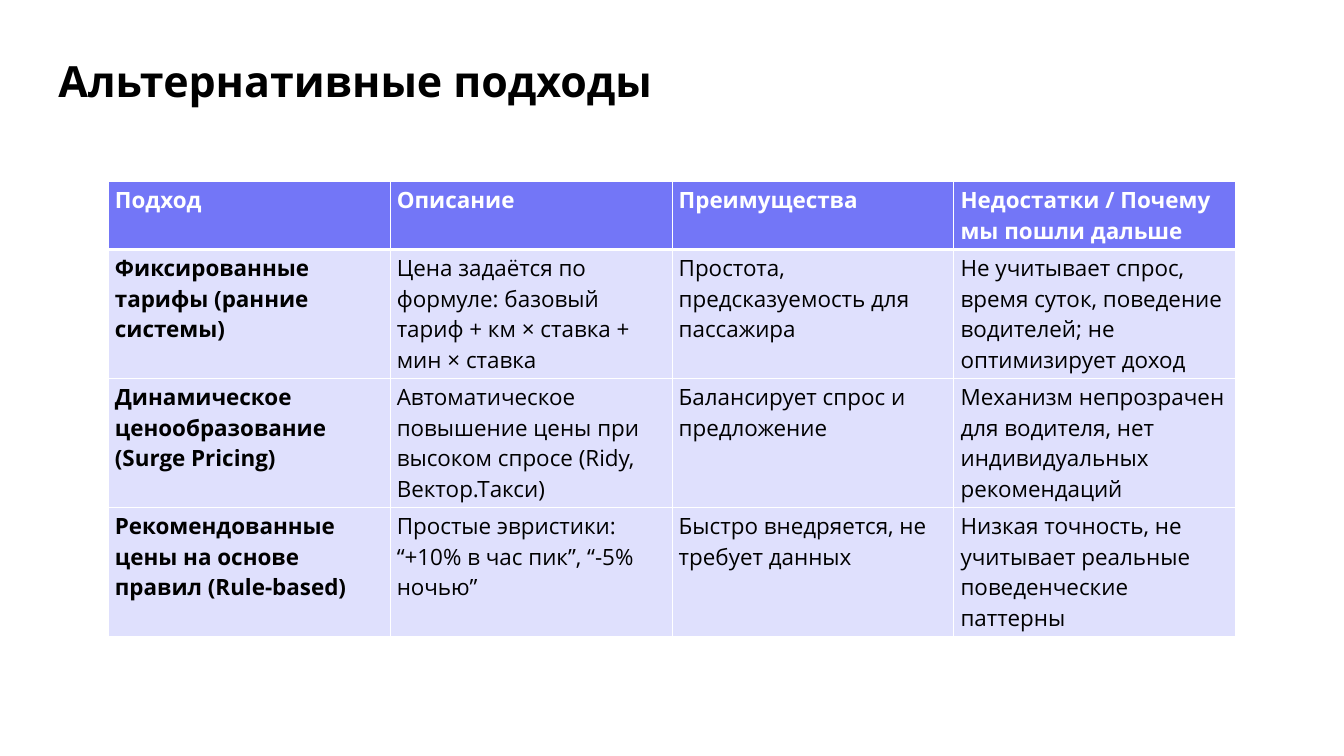
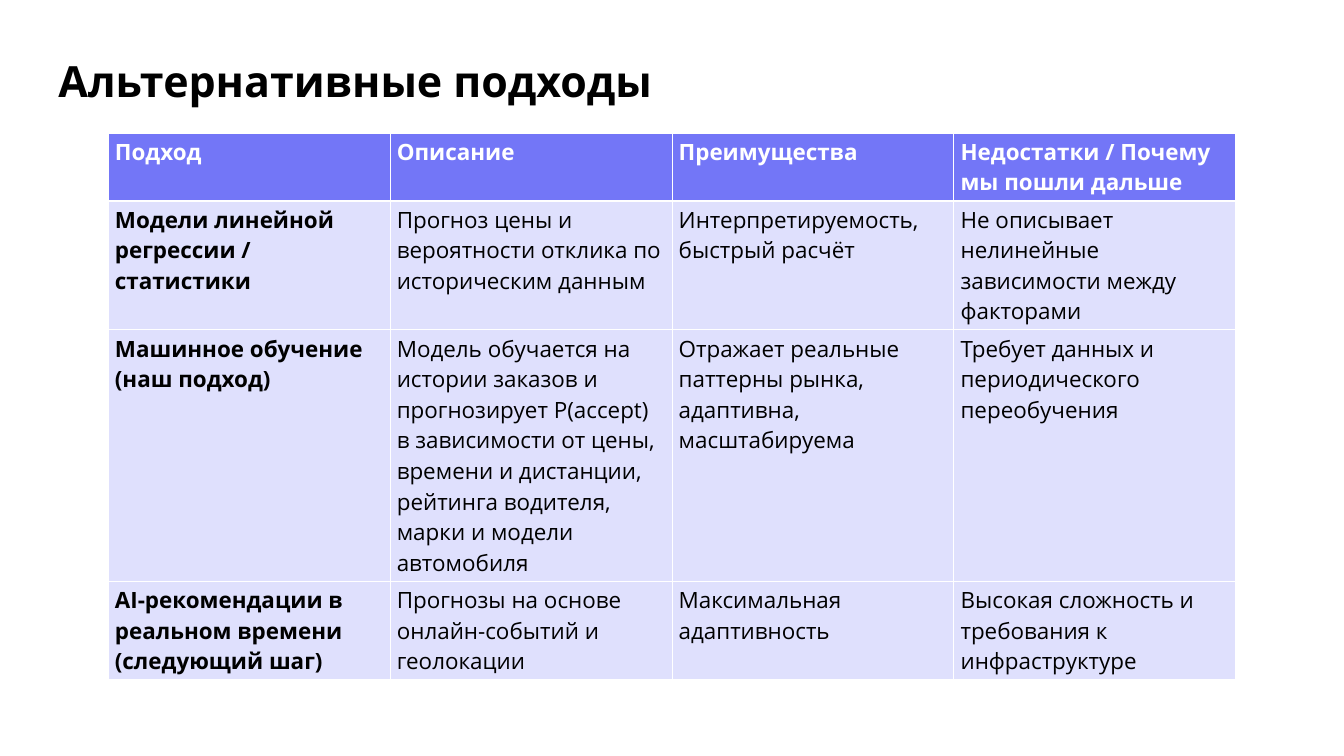
from dataclasses import dataclass

from lxml import etree
from pptx import Presentation
from pptx.dml.color import RGBColor
from pptx.enum.text import MSO_ANCHOR
from pptx.oxml.ns import qn
from pptx.util import Inches, Pt

TOP = MSO_ANCHOR.TOP
BLANK_LAYOUT = 6

TITLE = "Альтернативные подходы"
HEADINGS = ("Подход", "Описание", "Преимущества", "Недостатки / Почему мы пошли дальше")
COMPARISONS = [
    {
        "top": 2.7,
        "line_counts": (2, 4, 4, 4),
        "approaches": [
            ("Фиксированные тарифы (ранние системы)",
             "Цена задаётся по формуле: базовый тариф + км × ставка + мин × ставка",
             "Простота, предсказуемость для пассажира",
             "Не учитывает спрос, время суток, поведение водителей; не оптимизирует доход"),
            ("Динамическое ценообразование (Surge Pricing)",
             "Автоматическое повышение цены при высоком спросе (Ridy, Вектор.Такси)",
             "Балансирует спрос и предложение",
             "Механизм непрозрачен для водителя, нет индивидуальных рекомендаций"),
            ("Рекомендованные цены на основе правил (Rule-based)",
             "Простые эвристики: “+10% в час пик”, “-5% ночью”",
             "Быстро внедряется, не требует данных",
             "Низкая точность, не учитывает реальные поведенческие паттерны"),
        ],
    },
    {
        "top": 1.98,
        "line_counts": (2, 4, 8, 3),
        "approaches": [
            ("Модели линейной регрессии / статистики",
             "Прогноз цены и вероятности отклика по историческим данным",
             "Интерпретируемость, быстрый расчёт",
             "Не описывает нелинейные зависимости между факторами"),
            ("Машинное обучение (наш подход)",
             "Модель обучается на истории заказов и прогнозирует P(accept) в зависимости "
             "от цены, времени и дистанции, рейтинга водителя, марки и модели автомобиля",
             "Отражает реальные паттерны рынка, адаптивна, масштабируема",
             "Требует данных и периодического переобучения"),
            ("AI-рекомендации в реальном времени (следующий шаг)",
             "Прогнозы на основе онлайн-событий и геолокации",
             "Максимальная адаптивность",
             "Высокая сложность и требования к инфраструктуре"),
        ],
    },
]


@dataclass(frozen=True)
class Theme:
    family: str = "Open Sans"
    ink: str = "000000"
    white: str = "FFFFFF"
    header_fill: str = "7376F7"
    body_fill: str = "DFE0FD"
    title_size: int = 46
    table_size: int = 24
    rule: int = 1
    header_rule: int = 3


THEME = Theme()
TITLE_AREA = (0.83, 0.62, 15.6, 1.01)
TITLE_INSET = 0.04
TABLE_LEFT, TABLE_WIDTH = 1.61, 16.78
LINE_PITCH = Pt(32.75)
ROW_PADDING = Inches(0.1)


def set_all(target, values):
    for name, value in values.items():
        setattr(target, name, value)


def write(frame, text, size, color, bold):
    paragraph = frame.paragraphs[0]
    run = paragraph.add_run()
    run.text = text
    set_all(run.font, {"name": THEME.family, "size": Pt(size), "bold": bold})
    run.font.color.rgb = RGBColor.from_string(color)
    return paragraph


def add_title(slide):
    frame = slide.shapes.add_textbox(*map(Inches, TITLE_AREA)).text_frame
    inset = Inches(TITLE_INSET)
    set_all(frame, {
        "word_wrap": True, "vertical_anchor": TOP,
        "margin_left": inset, "margin_top": inset,
        "margin_right": inset, "margin_bottom": inset,
    })
    write(frame, TITLE, THEME.title_size, THEME.ink, True).line_spacing = 1.2


def add_borders(cell, widths):
    properties = cell._tc.get_or_add_tcPr()
    for side, width in widths.items():
        line = etree.SubElement(properties, qn(f"a:ln{side}"), w=str(Pt(width)))
        fill = etree.SubElement(line, qn("a:solidFill"))
        etree.SubElement(fill, qn("a:srgbClr"), val=THEME.white)


def fill_cell(cell, text, row, column):
    header = row == 0
    rules = dict.fromkeys("LRTB", THEME.rule)
    if header:
        rules["B"] = THEME.header_rule
    elif row == 1:
        rules["T"] = THEME.header_rule
    add_borders(cell, rules)
    cell.fill.solid()
    cell.fill.fore_color.rgb = RGBColor.from_string(
        THEME.header_fill if header else THEME.body_fill)
    write(cell.text_frame, text, THEME.table_size,
          THEME.white if header else THEME.ink, header or column == 0)


def add_comparison(slide, top, line_counts, approaches):
    rows = [HEADINGS, *approaches]
    heights = [count * LINE_PITCH + ROW_PADDING for count in line_counts]
    table = slide.shapes.add_table(
        len(rows), len(HEADINGS), Inches(TABLE_LEFT), Inches(top),
        Inches(TABLE_WIDTH), sum(heights)).table
    for row, (texts, height) in enumerate(zip(rows, heights)):
        table.rows[row].height = height
        for column, text in enumerate(texts):
            fill_cell(table.cell(row, column), text, row, column)


def main():
    deck = Presentation()
    set_all(deck, {"slide_width": Inches(20), "slide_height": Inches(11.25)})
    for comparison in COMPARISONS:
        slide = deck.slides.add_slide(deck.slide_layouts[BLANK_LAYOUT])
        add_title(slide)
        add_comparison(slide, **comparison)
    deck.save("out.pptx")


if __name__ == "__main__":
    main()
